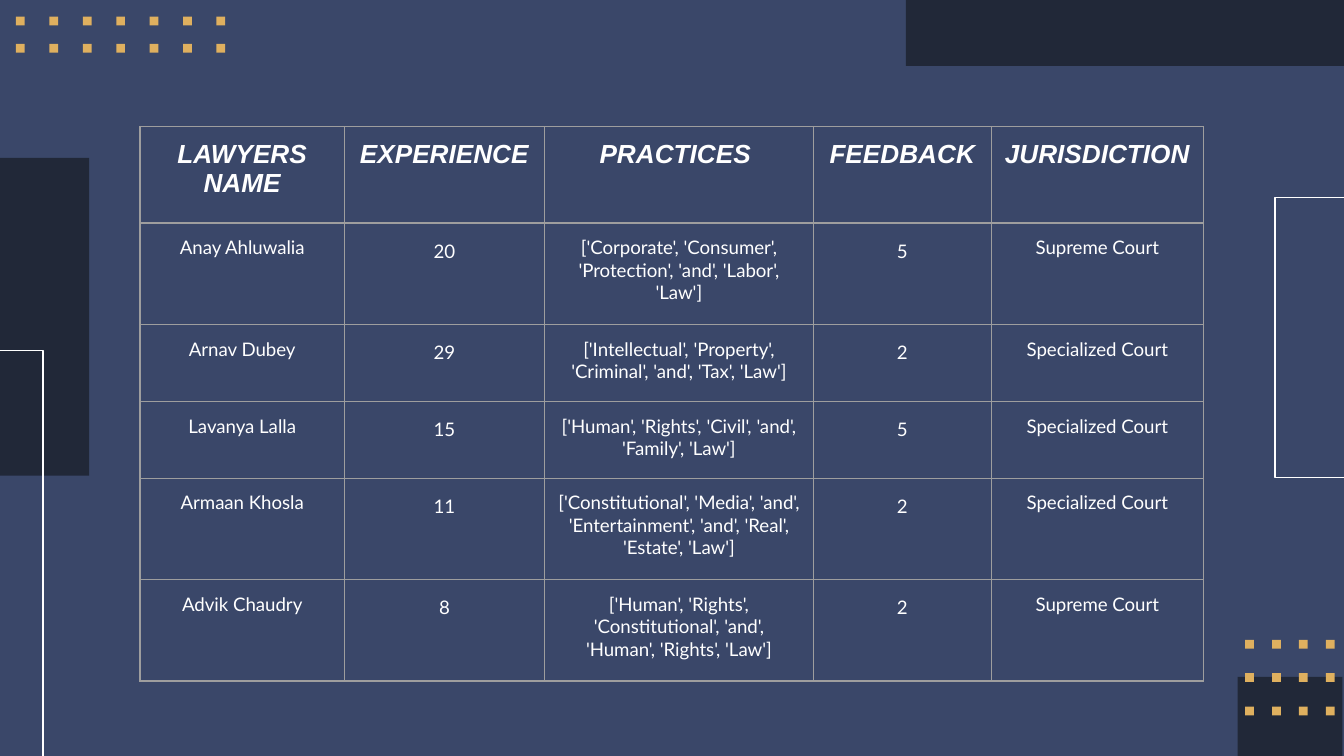
from dataclasses import dataclass

from lxml import etree
from pptx import Presentation
from pptx.dml.color import RGBColor
from pptx.enum.shapes import MSO_SHAPE
from pptx.enum.text import PP_ALIGN
from pptx.oxml.ns import qn
from pptx.util import Pt

RECTANGLE = MSO_SHAPE.RECTANGLE
CENTER = PP_ALIGN.CENTER


@dataclass(frozen=True)
class Theme:
    background: str = "3A4769"
    panel: str = "212838"
    accent: str = "DFB05F"
    text: str = "FFFFFF"
    border: str = "9E9E9E"
    head_font: str = "Arial"
    body_font: str = "Lato"
    head_size: float = 14
    body_size: float = 10
    line: float = 0.75


THEME = Theme()
WIDTH, HEIGHT = 720, 405

PANELS = [
    (663, 362.7, 56.2, 42.3),
    (485.3, -0.4, 234.7, 35.7),
    (0, 84.6, 47.7, 170.2),
]
RIGHT_FRAME = (683.1, 105.7, 45.5, 150)
LEFT_FRAME = (-0.7, 187.7, 23.7, 217.3)
TOP_DOTS = (8.6, 8.9, 112.1, 19.3)
BOTTOM_DOTS = (667.1, 342.8, 47.9, 40.5)
DOT = 4.7

TABLE_BOX = (75, 67.7, 569.8, 297.2)
COLUMNS = [109.5, 107.2, 144.1, 95.3, 113.7]
ROW_HEIGHTS = [51.8, 54.3, 41.2, 41.2, 54.4, 54.3]
NUMBER_COLUMNS = (1, 3)
HEADINGS = ["LAWYERS NAME", "EXPERIENCE", "PRACTICES ", "FEEDBACK", "JURISDICTION"]
LAWYERS = [
    ["Anay Ahluwalia", "20",
     "['Corporate', 'Consumer', 'Protection', 'and', 'Labor', 'Law']",
     "5", "Supreme Court"],
    ["Arnav Dubey", "29",
     "['Intellectual', 'Property', 'Criminal', 'and', 'Tax', 'Law']",
     "2", "Specialized Court"],
    ["Lavanya Lalla", "15",
     "['Human', 'Rights', 'Civil', 'and', 'Family', 'Law']",
     "5", "Specialized Court"],
    ["Armaan Khosla", "11",
     "['Constitutional', 'Media', 'and', 'Entertainment', 'and', 'Real', 'Estate', 'Law']",
     "2", "Specialized Court"],
    ["Advik Chaudry", "8",
     "['Human', 'Rights', 'Constitutional', 'and', 'Human', 'Rights', 'Law']",
     "2", "Supreme Court"],
]


def rgb(value):
    return RGBColor.from_string(value)


def add_block(shapes, box, color):
    sp = shapes.add_shape(RECTANGLE, *map(Pt, box))
    sp.shadow.inherit = False
    sp.fill.solid()
    sp.fill.fore_color.rgb = rgb(color)
    sp.line.fill.background()


def add_frame(s, box, corners):
    x, y, w, h = box
    points = [(Pt(x + w * fx), Pt(y + h * fy)) for fx, fy in corners]
    builder = s.shapes.build_freeform(*points[0])
    builder.add_line_segments(points[1:], close=False)
    sp = builder.convert_to_shape()
    sp.shadow.inherit = False
    sp.fill.background()
    sp.line.color.rgb = rgb(THEME.text)
    sp.line.width = Pt(THEME.line)


def add_dots(s, box, columns, rows):
    x, y, w, h = box
    dx = (w - DOT) / (columns - 1)
    dy = (h - DOT) / (rows - 1)
    group = s.shapes.add_group_shape()
    for row in range(rows):
        for column in range(columns):
            dot = (x + column * dx, y + row * dy, DOT, DOT)
            add_block(group.shapes, dot, THEME.accent)


def add_borders(cell):
    props = cell._tc.get_or_add_tcPr()
    for side in ("a:lnL", "a:lnR", "a:lnT", "a:lnB"):
        ln = etree.SubElement(props, qn(side), w=str(Pt(THEME.line)))
        fill = etree.SubElement(ln, qn("a:solidFill"))
        etree.SubElement(fill, qn("a:srgbClr"), val=THEME.border)


def fill_cell(cell, text, heading, number):
    add_borders(cell)
    cell.fill.background()
    cell.margin_left = cell.margin_right = Pt(7.2)
    cell.margin_top = cell.margin_bottom = Pt(7.2)
    p = cell.text_frame.paragraphs[0]
    p.alignment = CENTER
    if number:
        p.line_spacing = 1.15
    r = p.add_run()
    r.text = text
    r.font.name = THEME.head_font if heading else THEME.body_font
    r.font.size = Pt(THEME.head_size if heading else THEME.body_size)
    r.font.bold = r.font.italic = heading
    r.font.color.rgb = rgb(THEME.text)


def add_lawyers_table(s, box):
    rows = [HEADINGS] + LAWYERS
    table = s.shapes.add_table(len(rows), len(COLUMNS), *map(Pt, box)).table
    table.first_row = table.horz_banding = False
    for column, share in zip(table.columns, COLUMNS):
        column.width = Pt(box[2] * share / sum(COLUMNS))
    for row, share in zip(table.rows, ROW_HEIGHTS):
        row.height = Pt(box[3] * share / sum(ROW_HEIGHTS))
    for i, texts in enumerate(rows):
        for j, text in enumerate(texts):
            heading = i == 0
            number = not heading and j in NUMBER_COLUMNS
            fill_cell(table.cell(i, j), text, heading, number)


def add_decoration(s):
    for panel in PANELS:
        add_block(s.shapes, panel, THEME.panel)
    add_frame(s, RIGHT_FRAME, [(1, 0), (0, 0), (0, 1), (1, 1)])
    add_frame(s, LEFT_FRAME, [(1, 1), (1, 0), (0, 0)])
    add_dots(s, TOP_DOTS, 7, 2)
    add_dots(s, BOTTOM_DOTS, 4, 3)


def main():
    prs = Presentation()
    prs.slide_width, prs.slide_height = Pt(WIDTH), Pt(HEIGHT)
    s = prs.slides.add_slide(prs.slide_layouts[6])
    s.background.fill.solid()
    s.background.fill.fore_color.rgb = rgb(THEME.background)
    add_decoration(s)
    add_lawyers_table(s, TABLE_BOX)
    prs.save("out.pptx")


if __name__ == "__main__":
    main()
